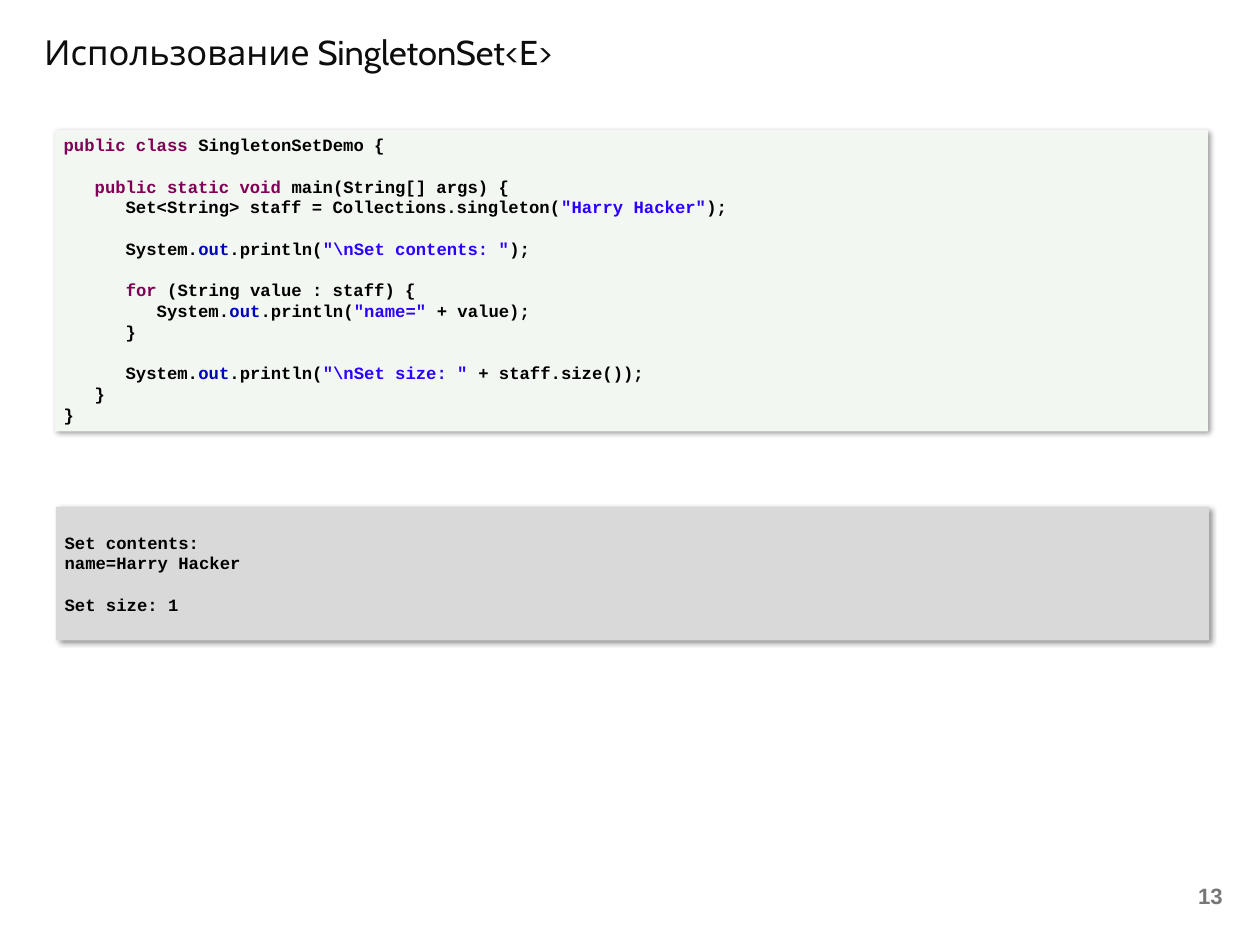
from dataclasses import dataclass
from lxml.etree import SubElement as Sub
from pptx import Presentation
from pptx.dml.color import RGBColor as Rgb
from pptx.enum.shapes import MSO_SHAPE as Kind
from pptx.enum.text import MSO_ANCHOR as Anchor, PP_ALIGN as Align
from pptx.oxml.ns import qn
from pptx.util import Pt


@dataclass(frozen=True)
class Theme:
    title: str = "0D0D0D"
    page: str = "777777"
    plain: str = "000000"
    key: str = "7F0055"
    field: str = "0000C0"
    quote: str = "2A00FF"
    code: str = "F2F7F2"
    print: str = "D9D9D9"
    head: int = 28
    foot: int = 18
    body: int = 14
    pitch: float = 16.85


look = Theme()


def write(text, box, size, font, color, bold=False, align=Align.LEFT,
          anchor=Anchor.TOP, wrap=True, pitch=None):
    """Write lines of (words, color) runs; None leaves one line of space."""
    frame = box.text_frame
    frame.word_wrap = wrap
    frame.vertical_anchor = anchor
    first, gap = True, 0
    for line in text:
        if line is None:
            gap += pitch
            continue
        para = frame.paragraphs[0] if first else frame.add_paragraph()
        para.alignment = align
        if pitch:
            para.line_spacing = Pt(pitch)
        if first:
            frame.margin_top = Pt(3.6 + gap)
        elif gap:
            para.space_before = Pt(gap)
        first, gap = False, 0
        for words, tint in [(line, color)] if isinstance(line, str) else line:
            run = para.add_run()
            run.text = words
            run.font.name = font
            run.font.size = Pt(size)
            run.font.bold = bold
            run.font.color.rgb = Rgb.from_string(tint or color)


deck = Presentation()
deck.slide_width, deck.slide_height = Pt(1024), Pt(768)
slide = deck.slides.add_slide(deck.slide_layouts[6])
shapes = slide.shapes

# Title and page number
title = shapes.add_textbox(Pt(28.8), Pt(21.6), Pt(794), Pt(45.4))
write(["Использование SingletonSet<E>"], title, look.head, "Cabin",
      look.title, wrap=False)
page = shapes.add_textbox(Pt(761.8), Pt(709.2), Pt(239), Pt(38.2))
write(["13"], page, look.foot, "Arial", look.page, bold=True,
      align=Align.RIGHT, anchor=Anchor.MIDDLE)

# Code and its output
out = ("out", look.field)
call = (".println(", None)
code = [
    [("public class", look.key), (" SingletonSetDemo {", None)],
    None,
    [("   ", None), ("public static void", look.key),
     (" main(String[] args) {", None)],
    [("      Set<String> staff = Collections.singleton(", None),
     ('"Harry Hacker"', look.quote), (");", None)],
    None,
    [("      System.", None), out, call,
     ('"\\nSet contents: "', look.quote), (");", None)],
    None,
    [("      ", None), ("for", look.key), (" (String value : staff) {", None)],
    [("         System.", None), out, call,
     ('"name="', look.quote), (" + value);", None)],
    "      }",
    None,
    [("      System.", None), out, call,
     ('"\\nSet size: "', look.quote), (" + staff.size());", None)],
    "   }",
    "}",
]
result = [None, "Set contents:", "name=Harry Hacker", None, "Set size: 1"]

# Panels with a soft shadow
panels = [
    (code, look.code, 44.6, 105.8, 244.8),
    (result, look.print, 45.4, 411.8, 108.7),
]
for text, fill, left, top, height in panels:
    panel = shapes.add_shape(Kind.RECTANGLE, Pt(left), Pt(top), Pt(937), Pt(height))
    panel.fill.solid()
    panel.fill.fore_color.rgb = Rgb.from_string(fill)
    panel.line.fill.background()
    panel.shadow.inherit = False
    effect = panel.element.spPr.find(qn("a:effectLst"))
    shade = Sub(effect, qn("a:outerShdw"), blurRad=str(Pt(4)), dist=str(Pt(3)),
                dir="2700000", algn="tl", rotWithShape="0")
    tint = Sub(shade, qn("a:srgbClr"), val=look.plain)
    Sub(tint, qn("a:alpha"), val="40000")
    write(text, panel, look.body, "Courier New", look.plain, bold=True,
          pitch=look.pitch)

deck.save("out.pptx")
